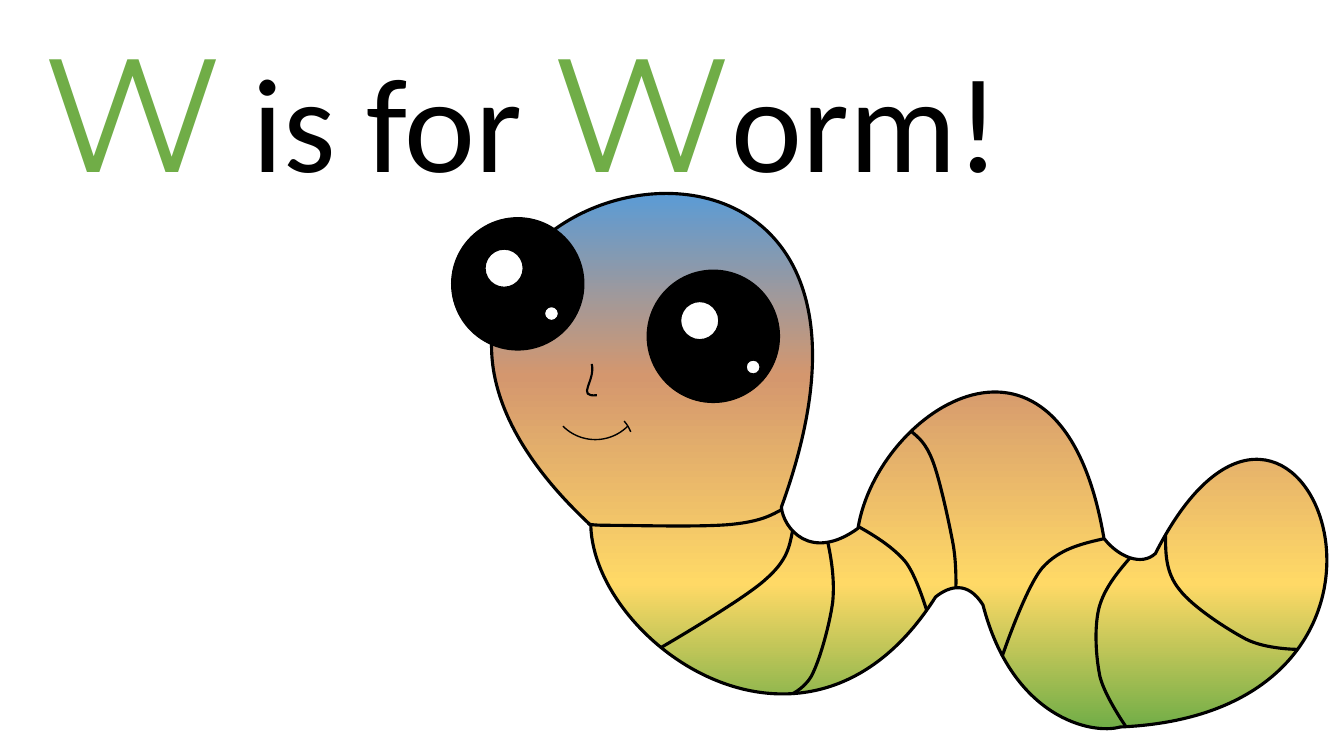
from lxml import etree
from pptx import Presentation
from pptx.dml.color import RGBColor
from pptx.enum import shapes, text
from pptx.oxml.ns import qn
from pptx.util import Cm, Pt

COLORS = {"black": "000000", "white": "FFFFFF", "blue": "5B9BD5",
          "clay": "D4976E", "yellow": "FFD966", "green": "70AD47"}
SKIN = [(0, "blue"), (34, "clay"), (73, "yellow"), (100, "green")]
GRID_WIDTH = 13.33  # units across the worm's drawing box

# Each curve is a start point followed by cubic Bézier segments (x1, y1, x2, y2, x, y).
BODY = [(7.75, 5.03),
        (7.77, 5.24, 8.04, 5.58, 8.51, 5.24), (8.7, 4.06, 10.53, 2.86, 10.95, 5.34),
        (11.09, 5.52, 11.32, 5.62, 11.46, 5.49), (12.88, 2.69, 14.6, 7.06, 11.11, 7.21),
        (10.83, 7.29, 10.04, 7.12, 9.75, 6), (9.6, 5.76, 9.42, 5.81, 9.28, 5.92),
        (8.02, 7.91, 5.89, 6.38, 5.86, 5.21), (2.32, 1.92, 9.61, -0.08, 7.75, 5.03)]
STRIPES = [
    [(11.56, 5.31), (11.56, 5.49, 11.56, 5.68, 11.7, 5.85),
     (11.83, 6.02, 12.17, 6.24, 12.36, 6.34), (12.56, 6.44, 12.87, 6.44, 12.87, 6.44)],
    [(11.21, 5.53), (11.08, 5.68, 10.95, 5.84, 10.9, 6.03),
     (10.85, 6.23, 10.87, 6.52, 10.91, 6.71), (10.96, 6.91, 11.17, 7.21, 11.17, 7.21)],
    [(10.96, 5.34), (10.74, 5.39, 10.51, 5.44, 10.34, 5.63),
     (10.17, 5.83, 9.94, 6.51, 9.94, 6.51)],
    [(9.04, 4.28), (9.11, 4.34, 9.18, 4.39, 9.25, 4.57),
     (9.32, 4.75, 9.41, 5.17, 9.45, 5.38), (9.49, 5.59, 9.48, 5.84, 9.48, 5.84)],
    [(8.51, 5.22), (8.69, 5.32, 8.86, 5.43, 8.98, 5.57),
     (9.09, 5.71, 9.19, 6.05, 9.19, 6.05)],
    [(8.21, 5.37), (8.25, 5.56, 8.28, 5.76, 8.26, 5.97),
     (8.23, 6.19, 8.14, 6.51, 8.07, 6.66), (8.01, 6.81, 7.86, 6.88, 7.86, 6.88)],
    [(7.86, 5.27), (7.83, 5.42, 7.81, 5.56, 7.59, 5.75),
     (7.37, 5.95, 6.56, 6.42, 6.56, 6.42)],
    [(7.76, 5.05), (7.65, 5.11, 7.55, 5.17, 7.26, 5.2),
     (6.97, 5.23, 6.27, 5.21, 6.04, 5.21), (5.8, 5.21, 5.84, 5.19, 5.84, 5.19)],
]
NOSE = [(5.92, 3.92), (5.71, 3.94, 5.91, 3.78, 5.87, 3.61)]
NOSE_FRAME = [(5.8, 3.6), (6.07, 3.93)]


def rgb(name):
    return RGBColor.from_string(COLORS[name])


def pairs(segment):
    return [segment[:2], segment[2:4], segment[4:]]


def sample(curve, steps=24):
    """Return points along the curve, from which its extent is taken."""
    points = [curve[0]]
    for segment in curve[1:]:
        controls = [points[-1], *pairs(segment)]
        for step in range(1, steps + 1):
            t = step / steps
            weights = ((1 - t) ** 3, 3 * t * (1 - t) ** 2, 3 * t * t * (1 - t), t ** 3)
            points.append(tuple(sum(w * c[axis] for w, c in zip(weights, controls))
                                for axis in (0, 1)))
    return points


def style(shape, fill=None, width=1.0):
    shape.shadow.inherit = False
    if fill:
        shape.fill.solid()
        shape.fill.fore_color.rgb = rgb(fill)
    else:
        shape.fill.background()
    shape.line.color.rgb = rgb("black")
    shape.line.width = Pt(width)
    return shape


def set_curve(shape, curve, place, close):
    """Replace the outline of a freeform with Bézier segments."""
    outline = shape.element.spPr.find(".//" + qn("a:path"))
    for child in list(outline):
        outline.remove(child)

    def add_command(tag, points):
        command = etree.SubElement(outline, qn(tag))
        for point in points:
            x, y = place(*point)
            etree.SubElement(command, qn("a:pt"), x=str(x - shape.left), y=str(y - shape.top))

    add_command("a:moveTo", curve[:1])
    for segment in curve[1:]:
        add_command("a:cubicBezTo", pairs(segment))
    if close:
        add_command("a:close", [])


def fill_gradient(shape, stops):
    """Fill from top to bottom with (percent, colour) stops."""
    shape.fill.gradient()
    shape.fill.gradient_angle = 270
    stop_list = shape.element.spPr.find(".//" + qn("a:gsLst"))
    for stop in list(stop_list):
        stop_list.remove(stop)
    for percent, color in stops:
        stop = etree.SubElement(stop_list, qn("a:gs"), pos=str(percent * 1000))
        etree.SubElement(stop, qn("a:srgbClr"), val=COLORS[color])


def add_run(paragraph, content, size=96, font="Calibri", color="black"):
    run = paragraph.add_run()
    run.text = content
    run.font.size = Pt(size)
    run.font.name = font
    run.font.color.rgb = rgb(color)


def add_title(slide, left, top, width, height):
    frame = slide.shapes.add_textbox(Cm(left), Cm(top), Cm(width), Cm(height)).text_frame
    frame.word_wrap = False
    frame.auto_size = text.MSO_AUTO_SIZE.SHAPE_TO_FIT_TEXT
    paragraph = frame.paragraphs[0]
    paragraph.alignment = text.PP_ALIGN.CENTER
    initial = dict(size=115, font="Montserrat", color="green")
    add_run(paragraph, "W", **initial)
    add_run(paragraph, " is for ")
    add_run(paragraph, "W", **initial)
    add_run(paragraph, "orm! ")


def add_worm(slide, left, top, width):
    """Draw the worm on a grid that spans the given width."""
    parts = slide.shapes.add_group_shape().shapes
    unit = width / GRID_WIDTH

    def place(x, y):
        return Cm(left + x * unit), Cm(top + y * unit)

    def add_curve(curve, line_width=2.25, close=False, frame=None):
        points = [place(*point) for point in frame or sample(curve)]
        builder = parts.build_freeform(*points[0])
        builder.add_line_segments(points[1:], close=close)
        shape = builder.convert_to_shape()
        set_curve(shape, curve, place, close)
        return style(shape, width=line_width)

    def add_round(x, y, size, fill=None, kind=shapes.MSO_SHAPE.OVAL):
        diameter = Cm(size * unit)
        return style(parts.add_shape(kind, *place(x, y), diameter, diameter), fill)

    def add_arc(x, y, size, *degrees):
        arc = add_round(x, y, size, kind=shapes.MSO_SHAPE.ARC)
        for index, angle in enumerate(degrees):
            arc.adjustments[index] = angle * 0.6  # 60000 per degree, over 100000

    def add_eye(x, y, sparkle_x, sparkle_y):
        add_round(x, y, 1.31, "black")
        add_round(x + 0.33, y + 0.31, 0.38, "white")
        add_round(x + sparkle_x, y + sparkle_y, 0.14, "white")

    fill_gradient(add_curve(BODY, close=True), SKIN)
    for stripe in STRIPES:
        add_curve(stripe)
    add_eye(6.42, 2.68, 0.98, 0.89)
    add_arc(5.45, 3.45, 0.91, 45, 135)
    add_arc(5.58, 4.06, 0.7, 318, 338.7)
    add_curve(NOSE, line_width=1.5, frame=NOSE_FRAME)
    add_eye(4.48, 2.16, 0.92, 0.88)


def main():
    presentation = Presentation()
    presentation.slide_width, presentation.slide_height = Cm(33.87), Cm(19.05)
    slide = presentation.slides.add_slide(presentation.slide_layouts[6])
    add_title(slide, 0, 0.17, 27.08, 5.18)
    add_worm(slide, 0, 0, 33.87)
    presentation.save("out.pptx")


if __name__ == "__main__":
    main()
